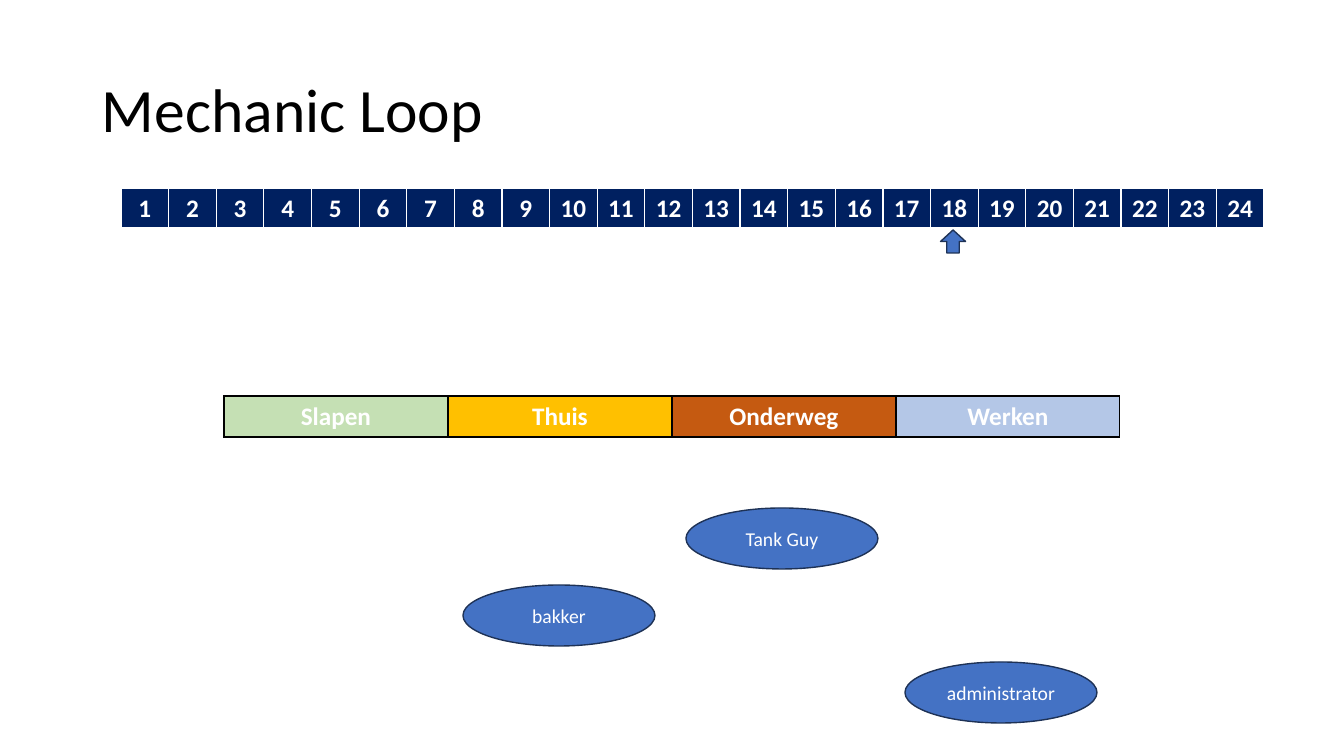
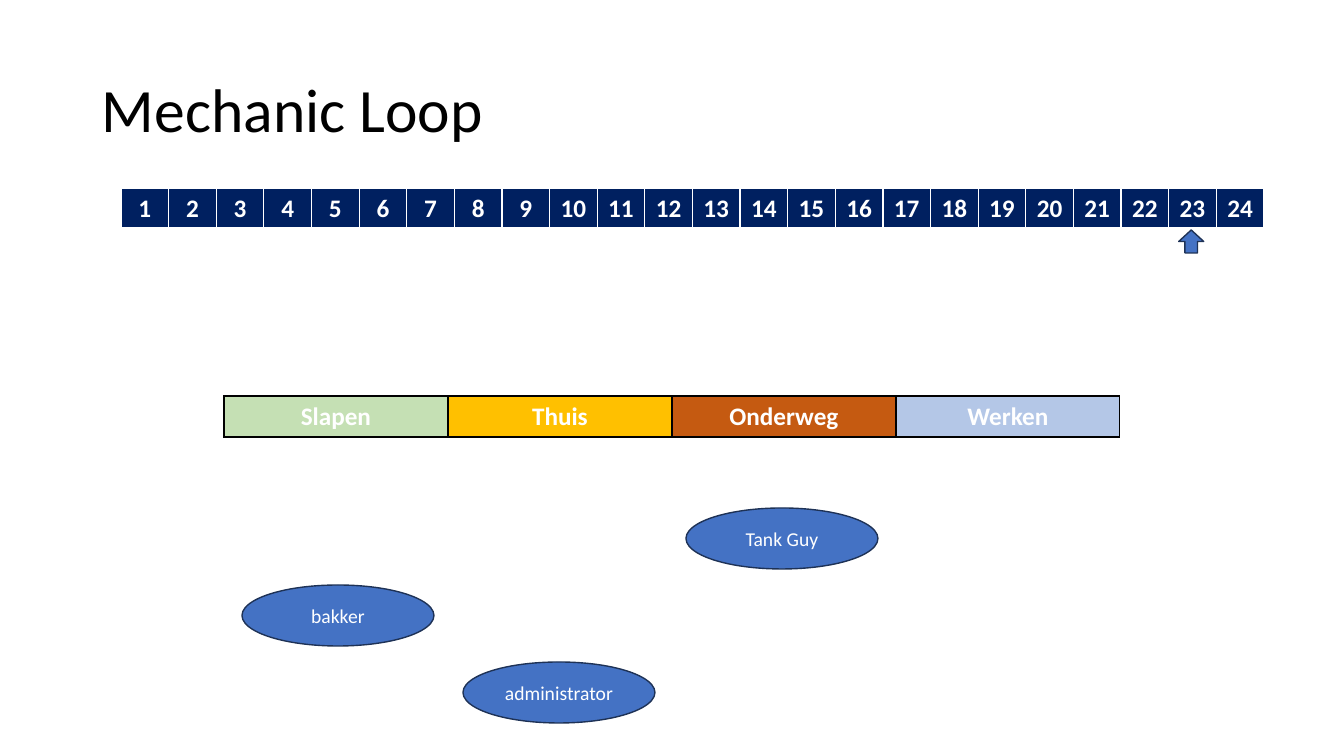
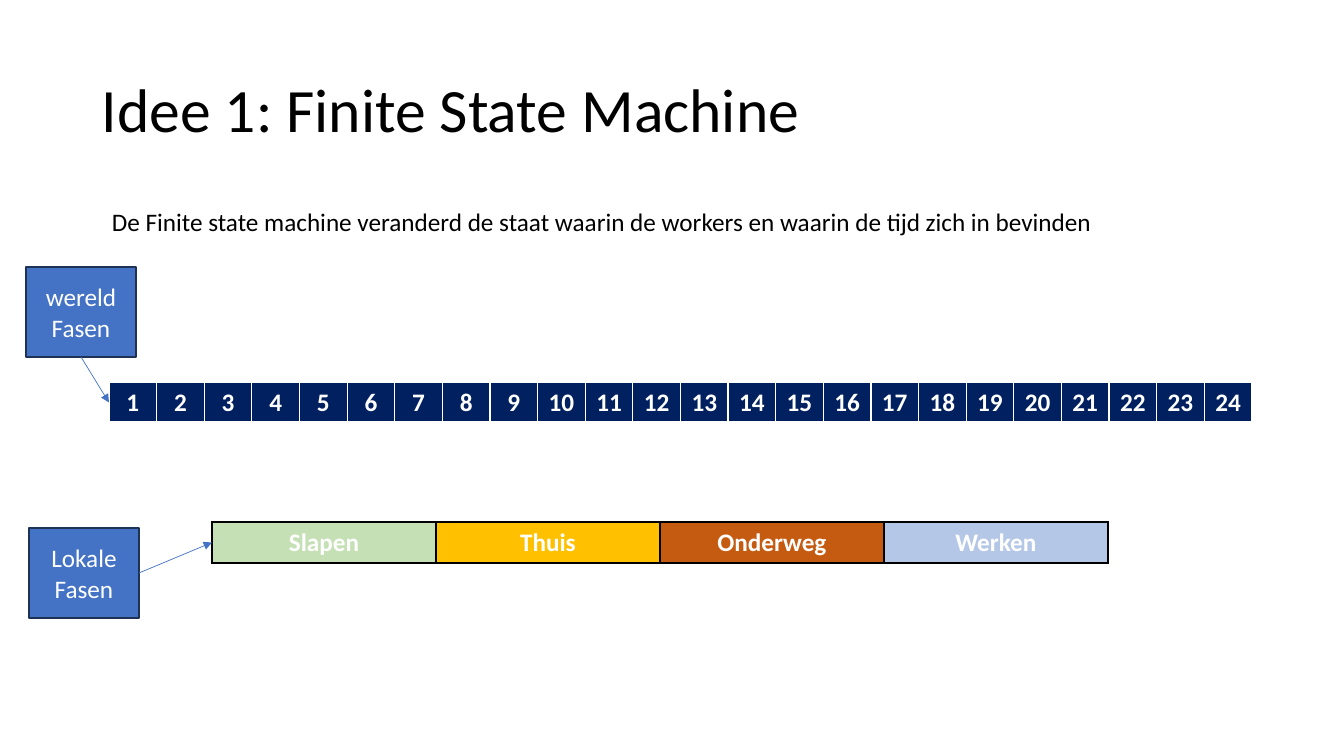
from collections import namedtuple

from pptx import Presentation
from pptx.dml.color import RGBColor
from pptx.enum.shapes import MSO_CONNECTOR, MSO_SHAPE
from pptx.enum.text import MSO_ANCHOR, PP_ALIGN
from pptx.oxml.ns import qn
from pptx.util import Pt
from lxml.etree import SubElement

EMU_PER_PX = 914400 / 100.8
FONT = "Calibri"
BLACK = RGBColor(0x00, 0x00, 0x00)
WHITE = RGBColor(0xFF, 0xFF, 0xFF)
NAVY = RGBColor(0x00, 0x20, 0x60)
BLUE = RGBColor(0x44, 0x72, 0xC4)
OUTLINE = RGBColor(0x1E, 0x32, 0x56)
GREEN = RGBColor(0xC5, 0xE0, 0xB4)
AMBER = RGBColor(0xFF, 0xC0, 0x00)
RUST = RGBColor(0xC5, 0x5A, 0x11)
PALE_BLUE = RGBColor(0xB4, 0xC7, 0xE7)

HOURS = [(str(hour), NAVY) for hour in range(1, 25)]
PHASES = [("Slapen", GREEN), ("Thuis", AMBER), ("Onderweg", RUST), ("Werken", PALE_BLUE)]
WORKER_OFFSETS = {"Slapen": 18, "Thuis": 239, "Onderweg": 462, "Werken": 681}

Box = namedtuple("Box", "x y w h")
TITLE_BOX = Box(92, 40, 1159, 146)


def px(length):
    """Turn pixels into EMU."""
    return round(length * EMU_PER_PX)


def emu(box):
    """Turn a pixel box into EMU lengths."""
    return [px(length) for length in box]


def write(tf, text, size=18, color=WHITE, bold=False, align=PP_ALIGN.CENTER,
          anchor=MSO_ANCHOR.MIDDLE, spacing=None):
    """Write one formatted paragraph into a text frame."""
    tf.word_wrap = True
    tf.vertical_anchor = anchor
    p = tf.paragraphs[0]
    p.alignment = align
    p.line_spacing = spacing
    r = p.add_run()
    r.text = text
    r.font.name = FONT
    r.font.size = Pt(size)
    r.font.bold = bold
    r.font.color.rgb = color


def add_text(s, box, text, **style):
    """Add a left-aligned black text box."""
    tf = s.shapes.add_textbox(*emu(box)).text_frame
    write(tf, text, color=BLACK, align=PP_ALIGN.LEFT, **style)


def add_block(s, kind, box, text="", size=18):
    """Add a blue outlined shape with an optional label."""
    sp = s.shapes.add_shape(kind, *emu(box))
    sp.shadow.inherit = False
    sp.fill.solid()
    sp.fill.fore_color.rgb = BLUE
    sp.line.color.rgb = OUTLINE
    sp.line.width = Pt(1)
    if text:
        write(sp.text_frame, text, size=size)


def set_borders(cell, color, bottom):
    """Draw 1 pt cell borders with a chosen bottom width."""
    tc_pr = cell._tc.get_or_add_tcPr()
    for side, width in (("lnL", 1), ("lnR", 1), ("lnT", 1), ("lnB", bottom)):
        ln = SubElement(tc_pr, qn(f"a:{side}"), w=str(Pt(width)))
        fill = SubElement(ln, qn("a:solidFill"))
        SubElement(fill, qn("a:srgbClr"), val=str(color))


def add_strip(s, box, entries, border, bottom=1):
    """Add a one-row table of equal coloured cells."""
    table = s.shapes.add_table(1, len(entries), *emu(box)).table
    table.first_row = table.horz_banding = False
    for column, cell, (label, color) in zip(table.columns, table.rows[0].cells, entries):
        column.width = px(box.w / len(entries))
        set_borders(cell, border, bottom)
        cell.fill.solid()
        cell.fill.fore_color.rgb = color
        cell.vertical_anchor = MSO_ANCHOR.MIDDLE
        write(cell.text_frame, label, bold=True)


def add_hours(s, x, y):
    """Add the 24-hour strip and return its box."""
    box = Box(x, y, 1143, 41)
    add_strip(s, box, HOURS, WHITE, bottom=3)
    return box


def add_phases(s, x, y):
    """Add the strip of worker phases and return its box."""
    box = Box(x, y, 896, 41)
    add_strip(s, box, PHASES, BLACK)
    return box


def add_arrow(s, start, end):
    """Add a thin blue arrow between two points."""
    line = s.shapes.add_connector(MSO_CONNECTOR.STRAIGHT, *emu(start + end))
    line.line.color.rgb = BLUE
    line.line.width = Pt(0.5)
    sp_pr = line._element.spPr
    SubElement(sp_pr.find(qn("a:ln")), qn("a:tailEnd"), type="triangle")
    SubElement(sp_pr, qn("a:effectLst"))


def add_titled_slide(prs, title):
    """Add a blank slide with the shared title style."""
    s = prs.slides.add_slide(prs.slide_layouts[6])
    add_text(s, TITLE_BOX, title, size=44, spacing=0.9)
    return s


def add_loop_slide(prs, hour, workers):
    """Add a slide marking an hour and the phase of each worker."""
    s = add_titled_slide(prs, "Mechanic Loop")
    hours = add_hours(s, 121, 188)
    marker_x = hours.x + (hour - 1) * hours.w / len(HOURS) + 10
    add_block(s, MSO_SHAPE.UP_ARROW, Box(marker_x, hours.y + 42, 25, 23))
    phases = add_phases(s, 224, 396)
    for row, (worker, phase) in enumerate(workers.items()):
        box = Box(phases.x + WORKER_OFFSETS[phase], phases.y + 112 + 77 * row, 192, 61)
        add_block(s, MSO_SHAPE.OVAL, box, worker, size=14)


def add_state_machine_slide(prs):
    """Add the slide that names the world and local phases."""
    s = add_titled_slide(prs, "Idee 1: Finite State Machine")
    add_text(s, Box(102, 201, 1012, 40),
             "De Finite state machine veranderd de staat waarin de workers "
             "en waarin de tijd zich in bevinden", anchor=MSO_ANCHOR.TOP)
    hours = add_hours(s, 109, 382)
    phases = add_phases(s, 212, 522)
    world = Box(26, 267, 110, 90)
    local = Box(29, 528, 110, 90)
    add_block(s, MSO_SHAPE.RECTANGLE, local, "Lokale Fasen")
    add_arrow(s, (local.x + local.w, local.y + local.h / 2),
              (phases.x, phases.y + phases.h / 2))
    add_block(s, MSO_SHAPE.RECTANGLE, world, "wereld Fasen")
    add_arrow(s, (world.x + world.w / 2, world.y + world.h),
              (hours.x, hours.y + hours.h / 2))


def main():
    """Build and save the deck."""
    prs = Presentation()
    prs.slide_width, prs.slide_height = px(1344), px(756)
    add_loop_slide(prs, 18, {"Tank Guy": "Onderweg", "bakker": "Thuis",
                             "administrator": "Werken"})
    add_loop_slide(prs, 23, {"Tank Guy": "Onderweg", "bakker": "Slapen",
                             "administrator": "Thuis"})
    add_state_machine_slide(prs)
    prs.save("out.pptx")


main()
